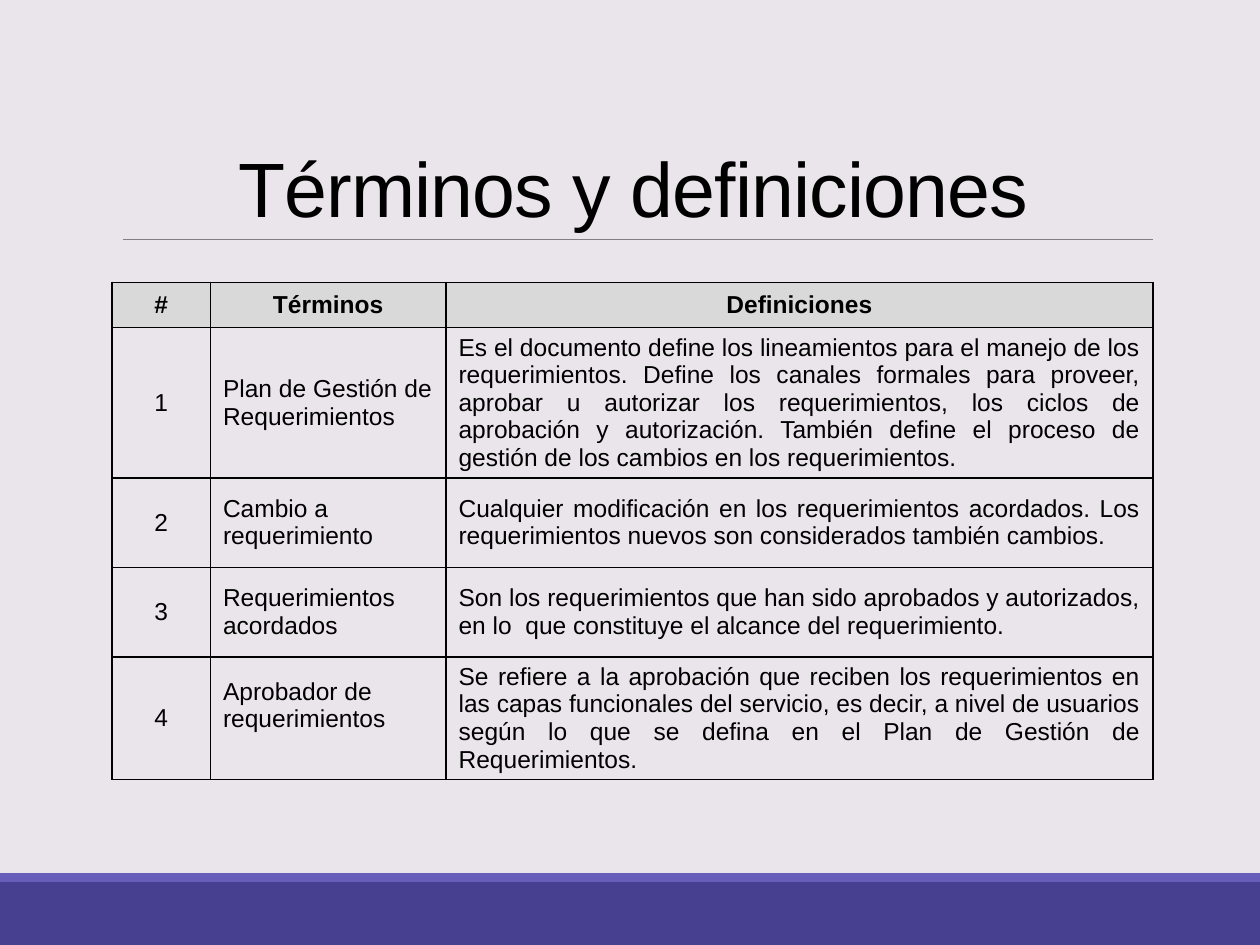
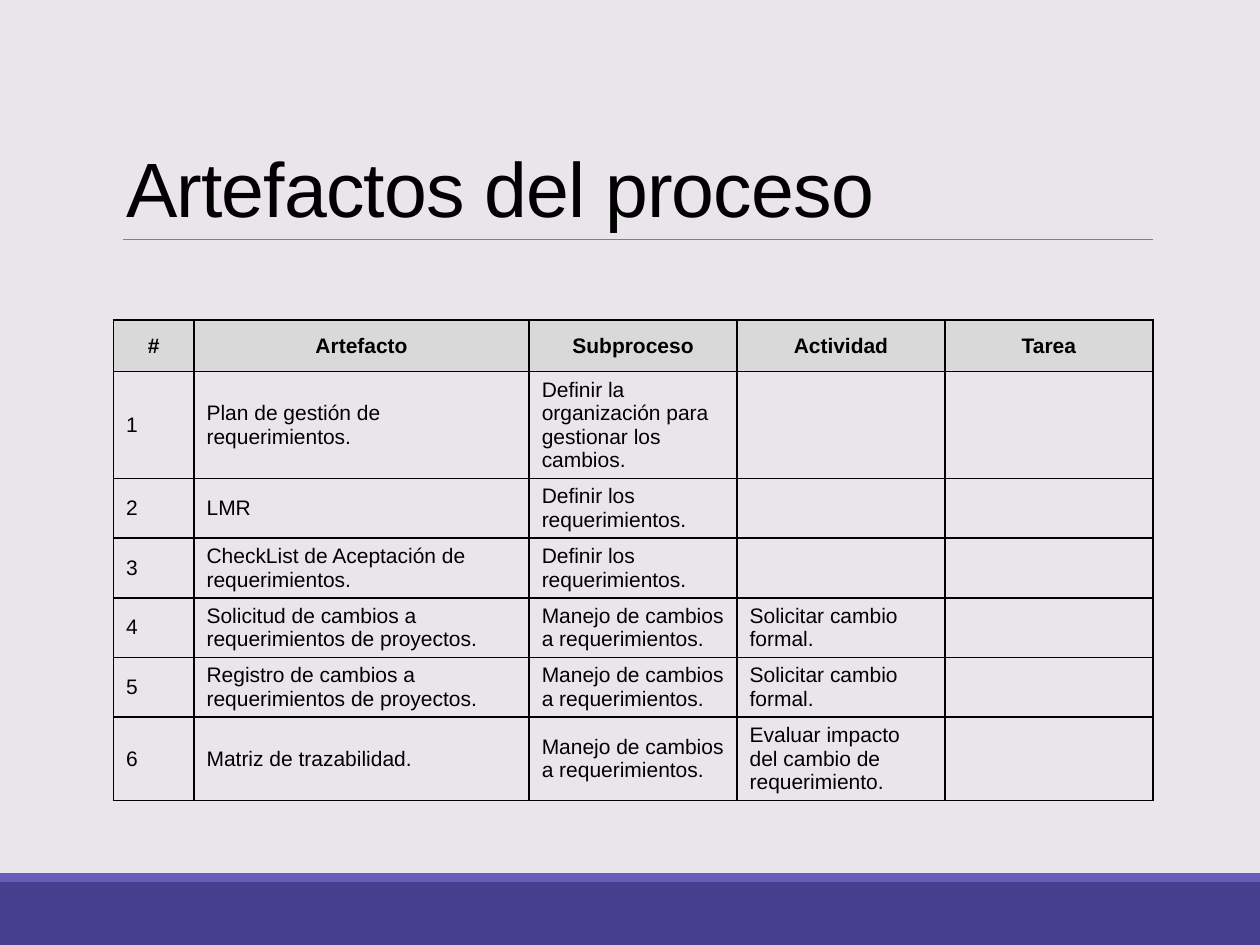
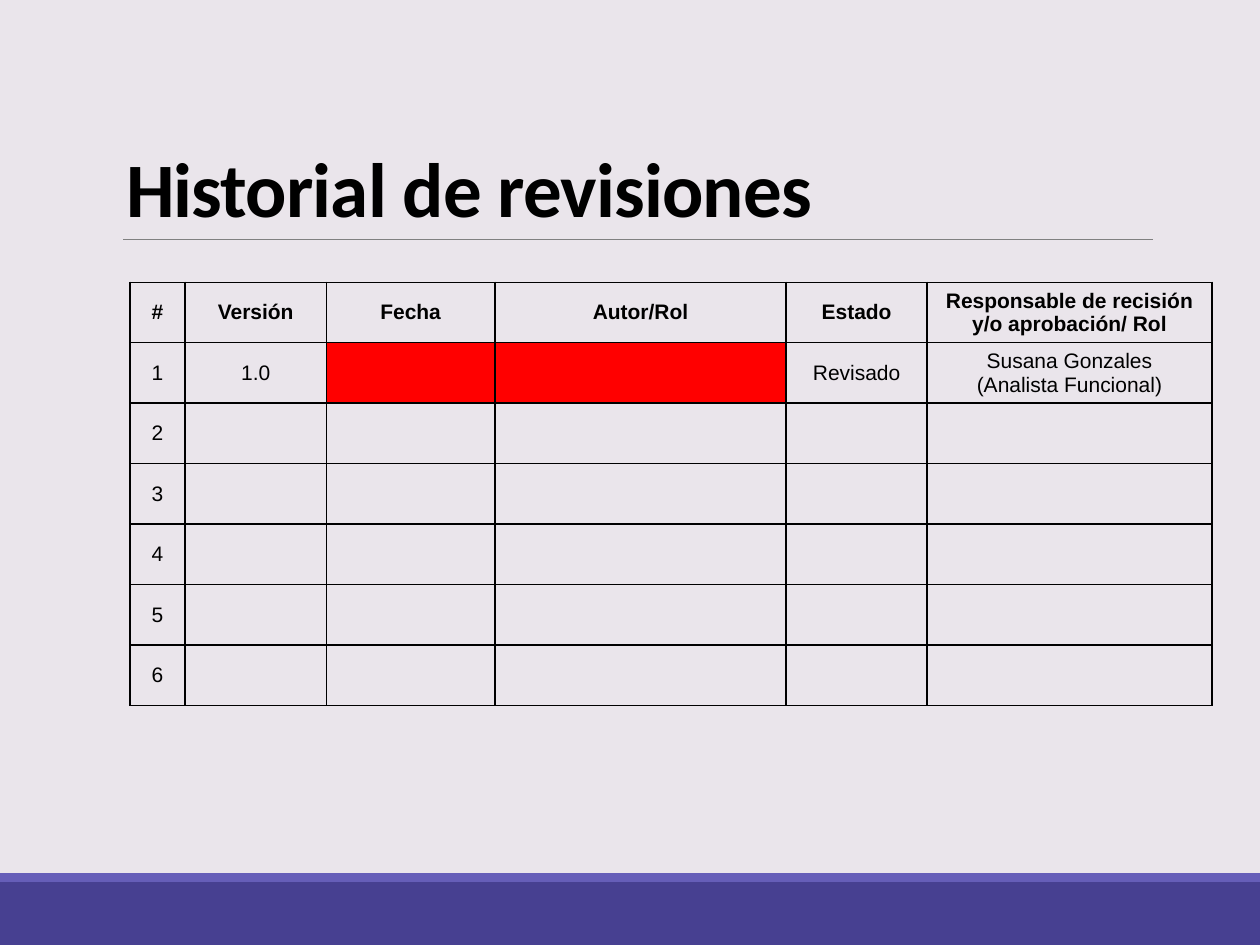
from lxml.etree import SubElement
from pptx import Presentation
from pptx.dml.color import RGBColor
from pptx.enum.shapes import MSO_CONNECTOR, MSO_SHAPE
from pptx.enum.text import MSO_ANCHOR, MSO_AUTO_SIZE, PP_ALIGN
from pptx.oxml.ns import qn
from pptx.util import Inches, Pt

COLORS = {
    "background": "EAE5EB",
    "footer": "474091",
    "footer_edge": "665EB8",
    "rule": "808080",
    "text": "000000",
    "header": "D9D9D9",
    "pending": "FF0000",
}
LEFT, CENTER, JUSTIFY = PP_ALIGN.LEFT, PP_ALIGN.CENTER, PP_ALIGN.JUSTIFY


def color(name):
    return RGBColor.from_string(COLORS[name])


def fill_with(fill, name):
    fill.solid()
    fill.fore_color.rgb = color(name)


class Deck:
    """Holds the shared style and the slide being built."""

    def __init__(self):
        self.presentation = Presentation()
        self.presentation.slide_width = Inches(10)
        self.presentation.slide_height = Inches(7.5)
        fill_with(self.presentation.slide_master.background.fill, "background")
        self.slide = None

    def add_slide(self, title, alignment=LEFT, font="Arial", bold=False):
        layout = self.presentation.slide_layouts.get_by_name("Title Only")
        self.slide = self.presentation.slides.add_slide(layout)
        self.band(7, 0.5, "footer")
        self.band(6.93, 0.07, "footer_edge")
        self.title_rule()
        self.title(title, alignment, font, bold)

    def band(self, top, height, name):
        shape = self.slide.shapes.add_shape(
            MSO_SHAPE.RECTANGLE, 0, Inches(top), Inches(10), Inches(height))
        shape.shadow.inherit = False
        fill_with(shape.fill, name)
        shape.line.fill.background()

    def title_rule(self):
        rule = self.slide.shapes.add_connector(
            MSO_CONNECTOR.STRAIGHT, Inches(0.98), Inches(1.9), Inches(9.15), Inches(1.9))
        rule.line.color.rgb = color("rule")
        rule.line.width = Pt(0.5)
        SubElement(rule._element.spPr, qn("a:effectLst"))

    def title(self, text, alignment, font, bold):
        shape = self.slide.shapes.title
        shape.left, shape.top = Inches(0.9), Inches(0.31)
        shape.width, shape.height = Inches(8.25), Inches(1.59)
        frame = shape.text_frame
        frame.text = text
        frame.auto_size = MSO_AUTO_SIZE.NONE
        frame.vertical_anchor = MSO_ANCHOR.BOTTOM
        paragraph = frame.paragraphs[0]
        paragraph.line_spacing = 0.85
        self.format_paragraph(paragraph, 44, alignment, bold, font)
        paragraph.runs[0]._r.get_or_add_rPr().set("spc", "-50")

    def format_paragraph(self, paragraph, size, alignment, bold=False, font="Arial"):
        paragraph.alignment = alignment
        paragraph.font.size = Pt(size)
        paragraph.font.name = font
        paragraph.font.bold = bold
        paragraph.font.color.rgb = color("text")

    def table(self, left, top, widths, row_heights, rows, size, alignments, header_fill=None):
        """Add a bordered table whose first row is a bold, centred header."""
        frame = self.slide.shapes.add_table(
            len(rows), len(widths), Inches(left), Inches(top),
            Inches(sum(widths)), Inches(sum(row_heights)))
        table = frame.table
        table.first_row = table.horz_banding = False
        for column, width in zip(table.columns, widths):
            column.width = Inches(width)
        for row, height in zip(table.rows, row_heights):
            row.height = Inches(height)
        for row_index, texts in enumerate(rows):
            is_header = row_index == 0
            for column_index, alignment in enumerate(alignments):
                cell = table.cell(row_index, column_index)
                text = texts[column_index] if column_index < len(texts) else ""
                self.cell(cell, text, size, CENTER if is_header else alignment, is_header)
                if is_header and header_fill:
                    fill_with(cell.fill, header_fill)
        return table

    def cell(self, cell, text, size, alignment, bold):
        self.cell_borders(cell)
        cell.fill.background()
        cell.vertical_anchor = MSO_ANCHOR.MIDDLE
        cell.text_frame.text = text
        for paragraph in cell.text_frame.paragraphs:
            self.format_paragraph(paragraph, size, alignment, bold)

    def cell_borders(self, cell):
        properties = cell._tc.get_or_add_tcPr()
        for side in ("a:lnL", "a:lnR", "a:lnT", "a:lnB"):
            line = SubElement(properties, qn(side), w=str(Pt(1)))
            SubElement(SubElement(line, qn("a:solidFill")), qn("a:srgbClr"), val=COLORS["text"])


def build_terms(deck):
    deck.add_slide("Términos y definiciones", alignment=CENTER)
    rows = [
        ("#", "Términos", "Definiciones"),
        ("1", "Plan de Gestión de Requerimientos",
         "Es el documento define los lineamientos para el manejo de los requerimientos. "
         "Define los canales formales para proveer, aprobar u autorizar los requerimientos, "
         "los ciclos de aprobación y autorización. También define el proceso de gestión de "
         "los cambios en los requerimientos."),
        ("2", "Cambio a requerimiento",
         "Cualquier modificación en los requerimientos acordados. Los requerimientos nuevos "
         "son considerados también cambios."),
        ("3", "Requerimientos acordados",
         "Son los requerimientos que han sido aprobados y autorizados, en lo  que constituye "
         "el alcance del requerimiento."),
        ("4", "Aprobador de requerimientos",
         "Se refiere a la aprobación que reciben los requerimientos en las capas funcionales "
         "del servicio, es decir, a nivel de usuarios según lo que se defina en el Plan de "
         "Gestión de Requerimientos."),
    ]
    table = deck.table(0.89, 2.24, [0.78, 1.87, 5.61], [0.36] + [0.71] * 4, rows, 14,
                       [CENTER, LEFT, JUSTIFY], header_fill="header")
    table.cell(4, 1).margin_bottom = Inches(0.25)


def build_artifacts(deck):
    deck.add_slide("Artefactos del proceso")
    define = "Definir los requerimientos."
    manage = "Manejo de cambios a requerimientos."
    request = "Solicitar cambio formal."
    rows = [
        ("#", "Artefacto", "Subproceso", "Actividad", "Tarea"),
        ("1", "Plan de gestión de requerimientos.",
         "Definir la organización para gestionar los cambios."),
        ("2", "LMR", define),
        ("3", "CheckList de Aceptación de requerimientos.", define),
        ("4", "Solicitud de cambios a requerimientos de proyectos.", manage, request),
        ("5", "Registro de cambios a requerimientos de proyectos.", manage, request),
        ("6", "Matriz de trazabilidad.", manage,
         "Evaluar impacto del cambio de requerimiento."),
    ]
    deck.table(0.9, 2.54, [0.64, 2.66] + [1.65] * 3, [0.41] * len(rows), rows, 12,
               [LEFT] * 5, header_fill="header")


def build_revisions(deck):
    deck.add_slide("Historial de revisiones", font="Calibri", bold=True)
    rows = [
        ("#", "Versión", "Fecha", "Autor/Rol", "Estado",
         "Responsable de recisión y/o aprobación/ Rol"),
        ("1", "1.0", "", "", "Revisado", "Susana Gonzales\n(Analista Funcional)"),
    ] + [(str(number),) for number in range(2, 7)]
    table = deck.table(1.03, 2.24, [0.44, 1.12, 1.34, 2.31, 1.12, 2.26],
                       [0.48] * len(rows), rows, 12, [CENTER] * 6)
    for column_index in (2, 3):
        fill_with(table.cell(1, column_index).fill, "pending")


def main():
    deck = Deck()
    build_terms(deck)
    build_artifacts(deck)
    build_revisions(deck)
    deck.presentation.save("out.pptx")


if __name__ == "__main__":
    main()
